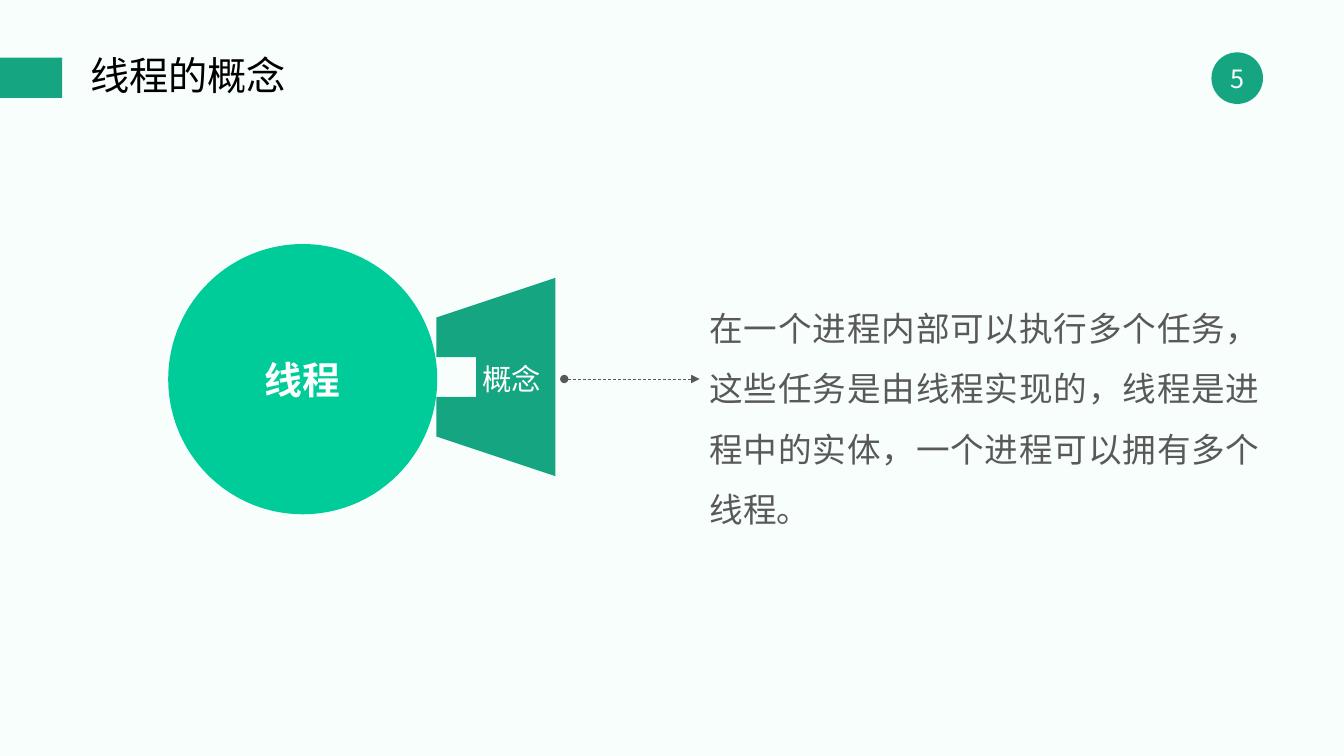
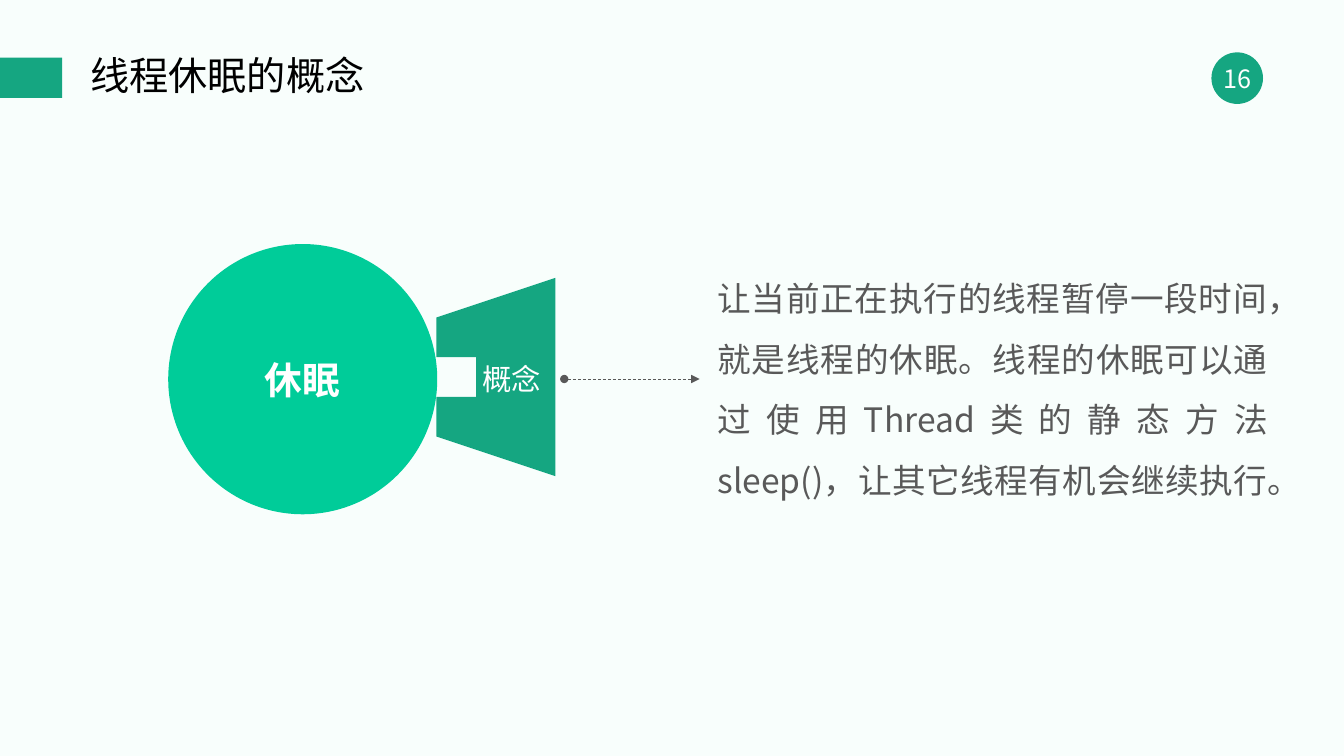
from dataclasses import dataclass

from lxml import etree
from pptx import Presentation
from pptx import util as u
from pptx.dml.color import RGBColor
from pptx.enum import dml, shapes, text
from pptx.oxml.ns import qn


@dataclass(frozen=True)
class Theme:
    font: str = "Noto Sans CJK SC"
    background: str = "F8FEFC"
    accent: str = "15A681"
    topic: str = "00CC99"
    title: str = "000000"
    body: str = "595959"
    light: str = "FFFFFF"
    title_size: int = 28
    topic_size: int = 27
    body_size: int = 24
    label_size: int = 21
    number_size: int = 18


def bezier(start, control_a, control_b, end, steps=24):
    """Return the points of a cubic curve, start and end included."""
    points = []
    for step in range(steps + 1):
        t = step / steps
        weights = ((1 - t) ** 3, 3 * t * (1 - t) ** 2, 3 * t * t * (1 - t), t ** 3)
        corners = (start, control_a, control_b, end)
        points.append(tuple(sum(w * c[axis] for w, c in zip(weights, corners))
                            for axis in (0, 1)))
    return points


class Deck:
    def __init__(self, theme):
        self.theme = theme
        self.presentation = Presentation()
        self.presentation.slide_width = u.Cm(33.87)
        self.presentation.slide_height = u.Cm(19.05)
        self.slide = None

    def start_slide(self, title, number):
        theme = self.theme
        self.slide = self.presentation.slides.add_slide(self.presentation.slide_layouts[6])
        self.paint(self.slide.background, theme.background)
        badge = self.shape(shapes.MSO_SHAPE.OVAL, (30.53, 1.32, 1.3, 1.3), theme.accent)
        self.set_text(badge, str(number), theme.number_size, theme.light, wrap=False)
        self.shape(shapes.MSO_SHAPE.RECTANGLE, (0, 1.45, 1.57, 1.02), theme.accent)
        heading = self.text_box((2.03, 1.32, 18.92, 1.3), title, theme.title_size, theme.title,
                                align=text.PP_ALIGN.LEFT, anchor=text.MSO_ANCHOR.MIDDLE,
                                insets=(0.25, 0.13), spacing=0.9)
        heading.text_frame.paragraphs[0].space_before = u.Pt(10)

    def paint(self, target, colour):
        target.fill.solid()
        target.fill.fore_color.rgb = RGBColor.from_string(colour)

    def finish(self, shape, colour):
        shape.shadow.inherit = False
        self.paint(shape, colour)
        shape.line.fill.background()
        return shape

    def shape(self, preset, box, colour):
        shape = self.slide.shapes.add_shape(preset, *map(u.Cm, box))
        return self.finish(shape, colour)

    def outline(self, points, colour):
        builder = self.slide.shapes.build_freeform(*points[0], scale=u.Cm(1))
        builder.add_line_segments(points[1:], close=True)
        return self.finish(builder.convert_to_shape(), colour)

    def text_box(self, box, words, size, colour, **style):
        holder = self.slide.shapes.add_textbox(*map(u.Cm, box))
        return self.set_text(holder, words, size, colour, **style)

    def set_text(self, holder, words, size, colour, bold=False, wrap=True, spacing=1.0,
                 align=text.PP_ALIGN.CENTER, anchor=text.MSO_ANCHOR.MIDDLE, insets=(0, 0)):
        frame = holder.text_frame
        frame.text = words
        frame.word_wrap = wrap
        frame.vertical_anchor = anchor
        frame.margin_left = frame.margin_right = u.Cm(insets[0])
        frame.margin_top = frame.margin_bottom = u.Cm(insets[1])
        for paragraph in frame.paragraphs:
            paragraph.alignment = align
            paragraph.line_spacing = spacing
            for run in paragraph.runs:
                run.font.size = u.Pt(size)
                run.font.bold = bold
                run.font.color.rgb = RGBColor.from_string(colour)
                run.font.name = self.theme.font
                east_asian = etree.SubElement(run._r.get_or_add_rPr(), qn("a:ea"))
                east_asian.set("typeface", self.theme.font)
        return holder

    def dashed_arrow(self, start, end):
        """Draw a line with a dot at its start and a triangle at its end."""
        arrow = self.slide.shapes.add_connector(
            shapes.MSO_CONNECTOR.STRAIGHT, *map(u.Cm, start + end))
        arrow.line.color.rgb = RGBColor.from_string(self.theme.body)
        arrow.line.width = u.Pt(0.5)
        arrow.line.dash_style = dml.MSO_LINE.DASH
        properties = arrow._element.spPr
        line = properties.find(qn("a:ln"))
        for tag, kind in (("a:headEnd", "oval"), ("a:tailEnd", "triangle")):
            etree.SubElement(line, qn(tag)).set("type", kind)
        etree.SubElement(properties, qn("a:effectLst"))

    def concept(self, topic, explanation, explanation_box):
        theme = self.theme
        self.text_box(explanation_box, explanation, theme.body_size, theme.body,
                      align=text.PP_ALIGN.JUSTIFY, anchor=text.MSO_ANCHOR.TOP, spacing=1.5)
        outer_edge = bezier((13.89, 7.24), (14.48, 8.79), (14.43, 10.44), (13.89, 11.89))
        inner_edge = bezier((11.35, 10.85), (11.63, 10.03), (11.63, 9.14), (11.35, 8.28))
        self.outline(outer_edge + inner_edge, theme.accent)
        disc = self.shape(shapes.MSO_SHAPE.OVAL, (4.24, 6.15, 6.78, 6.81), theme.topic)
        self.set_text(disc, topic, theme.topic_size, theme.light, bold=True)
        self.dashed_arrow((14.22, 9.55), (17.63, 9.55))
        self.text_box((11.81, 9.09, 2.16, 0.89), "概念", theme.label_size, theme.light,
                      anchor=text.MSO_ANCHOR.TOP)


def main():
    deck = Deck(Theme())

    deck.start_slide("线程的概念", 5)
    deck.concept(
        "线程",
        "在一个进程内部可以执行多个任务， 这些任务是由线程实现的，"
        "线程是进程中的实体，一个进程可以拥有多个线程。",
        (17.88, 7.24, 13.87, 5.97))

    deck.start_slide("线程休眠的概念", 16)
    deck.concept(
        "休眠",
        "让当前正在执行的线程暂停一段时间，就是线程的休眠。"
        "线程的休眠可以通过使用Thread类的静态方法sleep()，让其它线程有机会继续执行。",
        (18.08, 6.5, 13.87, 6.07))

    deck.presentation.save("out.pptx")


if __name__ == "__main__":
    main()
